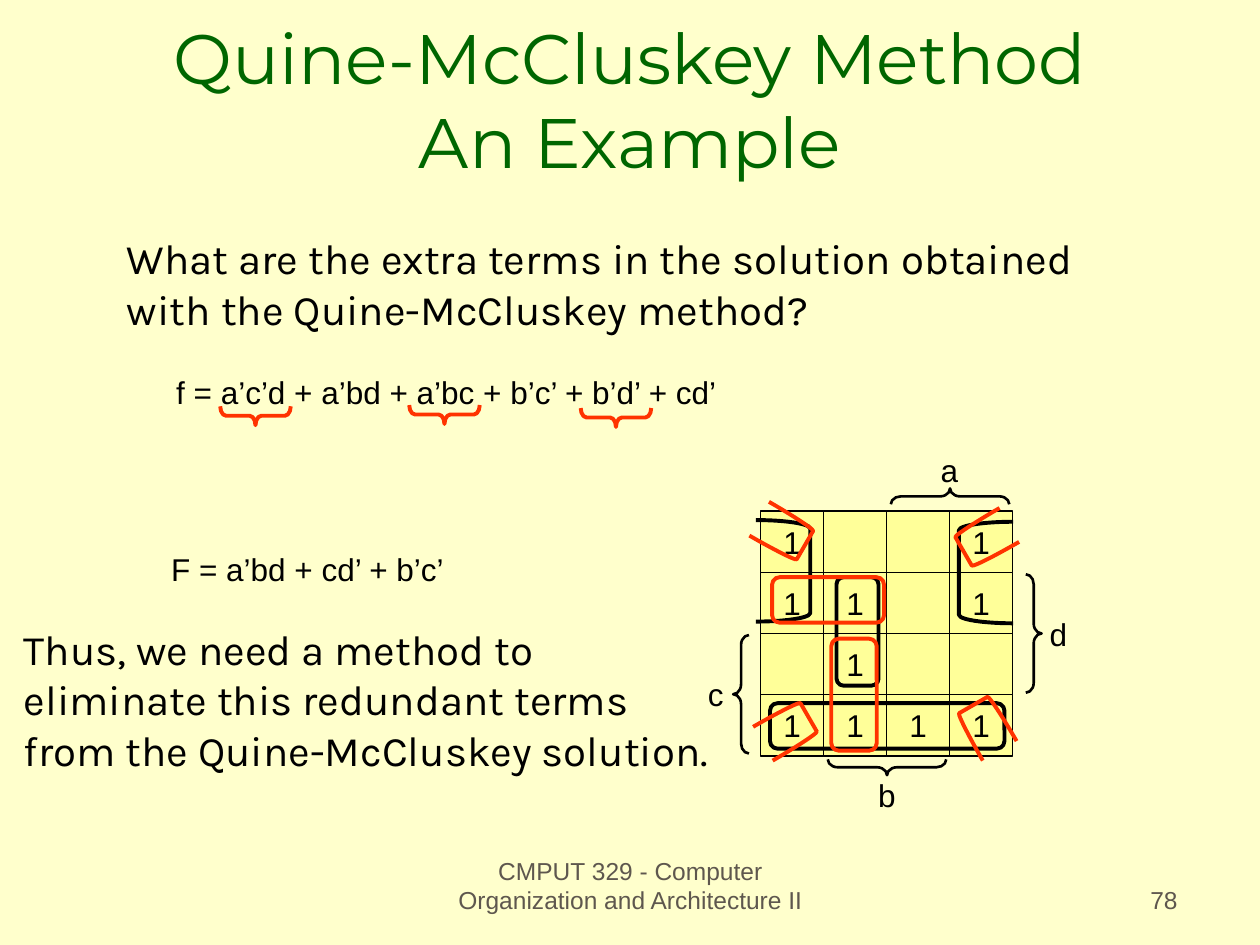
from dataclasses import dataclass

from pptx import Presentation
from pptx.dml.color import RGBColor
from pptx.enum.shapes import MSO_SHAPE as Preset
from pptx.enum.text import MSO_ANCHOR as Anchor, PP_ALIGN as Align
from pptx.slide import Slide
from pptx.text.text import TextFrame
from pptx.util import Pt

CREAM = RGBColor(0xFF, 0xFF, 0xCC)
YELLOW = RGBColor(0xFF, 0xFF, 0x99)
GREEN = RGBColor(0x00, 0x66, 0x00)
GRAY = RGBColor(0x5E, 0x57, 0x4E)
BLACK = RGBColor(0x00, 0x00, 0x00)
RED = RGBColor(0xFF, 0x33, 0x00)

GRID_LEFT, GRID_TOP = 434.6, 292
CELL_WIDTH, CELL_HEIGHT = 36, 35
KARNAUGH_MAP = ["1  1", "11 1", " 1  ", "1111"]


@dataclass(frozen=True)
class Label:
    lines: tuple[str, ...]
    left: float
    top: float
    width: float
    height: float = 28.8
    font: str = "Arial"
    size: float = 18
    color: RGBColor = BLACK
    align: Align = Align.LEFT
    anchor: Anchor = Anchor.TOP
    wrap: bool = False
    space_before: float = 0


@dataclass(frozen=True)
class Outline:
    preset: Preset
    left: float
    top: float
    width: float
    height: float
    adjustment: float
    color: RGBColor = BLACK
    weight: float = 2.25
    rotation: float = 0


LABELS = [
    Label(("CMPUT 329 - Computer Organization and Architecture II",), 246.2, 490.3, 228.2, 36,
          size=14, color=GRAY, align=Align.CENTER, anchor=Anchor.BOTTOM, wrap=True, space_before=8.8),
    Label(("78",), 530, 490.3, 150, 36,
          size=14, color=GRAY, align=Align.RIGHT, anchor=Anchor.BOTTOM, wrap=True, space_before=8.8),
    Label(("Quine-McCluskey Method\vAn Example",), 54, 18, 612, 90, "Montserrat", 40, GREEN,
          Align.CENTER, Anchor.BOTTOM, True),
    Label(("What are the extra terms in the solution obtained",
           "with the Quine-McCluskey method?"), 65.5, 129.6, 571.7, 64.8, "Karla", 24),
    Label(("f = a’c’d + a’bd + a’bc + b’c’ + b’d’ + cd’",), 93.6, 209.5, 324.7),
    Label(("F = a’bd + cd’ + b’c’",), 90.7, 311, 180.7),
    Label(("Thus, we need a method to", "eliminate this redundant terms",
           "from the Quine-McCluskey solution."), 6.5, 352.8, 418.3, 93.6, "Karla", 24),
    Label(("a",), 529.2, 254.2, 26.6, align=Align.CENTER),
    Label(("b",), 494.6, 440, 24.5, align=Align.CENTER),
    Label(("c",), 397.4, 382.3, 23, align=Align.CENTER),
    Label(("d",), 592.6, 347.8, 24.5, align=Align.CENTER),
]

VARIABLE_BRACES = [
    Outline(Preset.LEFT_BRACE, 538.4, 249.8, 9, 67.7, 0.63, weight=1.5, rotation=90),
    Outline(Preset.LEFT_BRACE, 502.4, 404.6, 9, 67.7, 0.63, weight=1.5, rotation=270),
    Outline(Preset.LEFT_BRACE, 419, 362.9, 9, 67.7, 0.63, weight=1.5),
    Outline(Preset.RIGHT_BRACE, 586.2, 328.2, 9, 67.7, 0.63, weight=1.5),
]

NEEDED_GROUPS = [
    Outline(Preset.ROUNDED_RECTANGLE, 478, 329.8, 24, 62, 0.167),
    Outline(Preset.ROUNDED_RECTANGLE, 440, 401.8, 134, 26, 0.167),
    Outline(Preset.RIGHT_BRACKET, 432, 297.2, 31, 58, 0.155),
    Outline(Preset.LEFT_BRACKET, 548, 298.2, 31, 58, 0.155),
]

EXTRA_GROUPS = [
    Outline(Preset.ROUNDED_RECTANGLE, 441.2, 329.8, 64, 26, 0.167, RED),
    Outline(Preset.ROUNDED_RECTANGLE, 475, 365, 26, 64, 0.167, RED),
] + [
    Outline(preset, left, top, 30.2, 22.3, 0.08, RED, rotation=rotation)
    for preset, left, top, rotation in [
        (Preset.RIGHT_BRACKET, 548.6, 404.8, 240),
        (Preset.LEFT_BRACKET, 548.6, 296.4, 330),
        (Preset.RIGHT_BRACKET, 431.8, 292.8, 30),
        (Preset.RIGHT_BRACKET, 433.9, 406.3, 330),
    ]
]

TERM_BRACES = [
    Outline(Preset.LEFT_BRACE, left, top, 10.8, 40.3, 0.31, RED, rotation=270)
    for left, top in [(140.6, 217.4), (248.6, 216.7), (346.6, 218.4)]
]


def write(text_frame: TextFrame, label: Label) -> None:
    text_frame.word_wrap = label.wrap
    text_frame.vertical_anchor = label.anchor
    text_frame.text = "\n".join(label.lines)
    for paragraph in text_frame.paragraphs:
        paragraph.alignment = label.align
        paragraph.space_before = Pt(label.space_before)
        paragraph.font.name = label.font
        paragraph.font.size = Pt(label.size)
        paragraph.font.color.rgb = label.color


def draw_label(slide: Slide, label: Label) -> None:
    text_box = slide.shapes.add_textbox(
        Pt(label.left), Pt(label.top), Pt(label.width), Pt(label.height))
    write(text_box.text_frame, label)


def draw_cell(slide: Slide, row: int, column: int, value: str) -> None:
    left, top = GRID_LEFT + column * CELL_WIDTH, GRID_TOP + row * CELL_HEIGHT
    cell = slide.shapes.add_shape(
        Preset.RECTANGLE, Pt(left), Pt(top), Pt(CELL_WIDTH), Pt(CELL_HEIGHT))
    cell.shadow.inherit = False
    cell.fill.solid()
    cell.fill.fore_color.rgb = YELLOW
    cell.line.color.rgb = BLACK
    cell.line.width = Pt(0.75)
    if value.strip():
        write(cell.text_frame, Label((value,), left, top, CELL_WIDTH, CELL_HEIGHT,
                                     align=Align.CENTER, anchor=Anchor.MIDDLE))


def draw_outline(slide: Slide, outline: Outline) -> None:
    shape = slide.shapes.add_shape(
        outline.preset, Pt(outline.left), Pt(outline.top), Pt(outline.width), Pt(outline.height))
    shape.adjustments[0] = outline.adjustment
    shape.rotation = outline.rotation
    shape.shadow.inherit = False
    shape.fill.background()
    shape.line.color.rgb = outline.color
    shape.line.width = Pt(outline.weight)


def main() -> None:
    presentation = Presentation()
    presentation.slide_width, presentation.slide_height = Pt(720), Pt(540)
    slide = presentation.slides.add_slide(presentation.slide_layouts[6])
    slide.background.fill.solid()
    slide.background.fill.fore_color.rgb = CREAM

    for label in LABELS:
        draw_label(slide, label)
    for row, values in enumerate(KARNAUGH_MAP):
        for column, value in enumerate(values):
            draw_cell(slide, row, column, value)
    for outline in VARIABLE_BRACES + NEEDED_GROUPS + EXTRA_GROUPS + TERM_BRACES:
        draw_outline(slide, outline)

    presentation.save("out.pptx")


if __name__ == "__main__":
    main()
